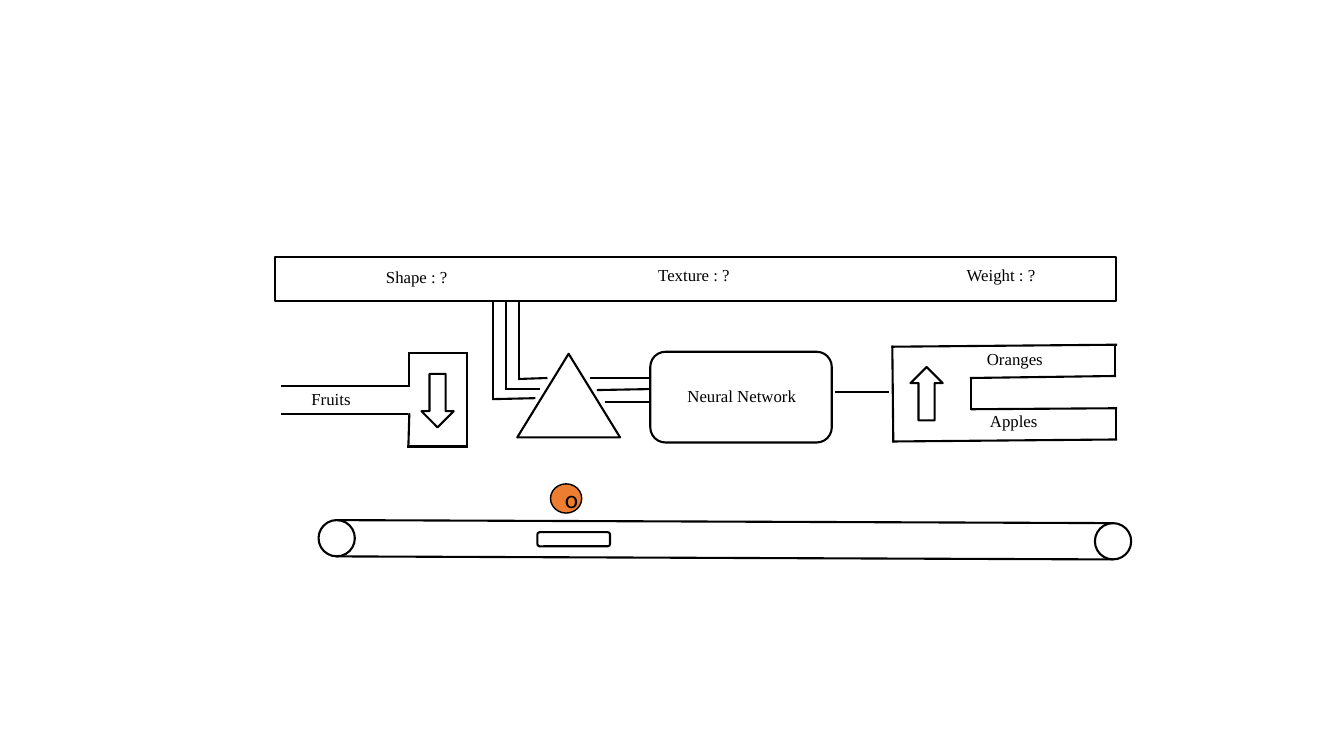
from pptx import Presentation
from pptx.dml.color import RGBColor
from pptx.enum.shapes import MSO_CONNECTOR, MSO_SHAPE
from pptx.enum.text import MSO_ANCHOR, PP_ALIGN
from pptx.util import Inches, Pt
from lxml import etree

RECT, ROUNDED = MSO_SHAPE.RECTANGLE, MSO_SHAPE.ROUNDED_RECTANGLE
TRIANGLE, OVAL = MSO_SHAPE.ISOSCELES_TRIANGLE, MSO_SHAPE.OVAL
PROCESS, ARROW = MSO_SHAPE.FLOWCHART_ALTERNATE_PROCESS, MSO_SHAPE.DOWN_ARROW
STRAIGHT = MSO_CONNECTOR.STRAIGHT
MIDDLE, CENTER = MSO_ANCHOR.MIDDLE, PP_ALIGN.CENTER
BLACK, WHITE, ORANGE = "000000", "FFFFFF", "ED7D31"
A_NS = "http://schemas.openxmlformats.org/drawingml/2006/main"

prs = Presentation()
prs.slide_width, prs.slide_height = Inches(13.33), Inches(7.5)
s = prs.slides.add_slide(prs.slide_layouts[6])


def rgb(color):
    """Turn a hex string into a colour."""
    return RGBColor.from_string(color)


def write(tf, text, font, size):
    """Put one black run into a text frame and return its paragraph."""
    p = tf.paragraphs[0]
    r = p.add_run()
    r.text = text
    for name, value in {"name": font, "size": Pt(size)}.items():
        setattr(r.font, name, value)
    r.font.color.rgb = rgb(BLACK)
    return p


# Machine parts: kind, left, top, width, height, rotation, fill, line width
parts = [
    (RECT, 2.73, 2.55, 8.34, 0.44, 0, WHITE, 1.5),
    (TRIANGLE, 5.13, 3.51, 1.02, 0.83, 0, WHITE, 1.5),
    (PROCESS, 6.45, 3.49, 1.8, 0.9, 0, WHITE, 1.5),
    (ARROW, 4.18, 3.71, 0.32, 0.53, 0, WHITE, 1.5),
    (ARROW, 9.03, 3.64, 0.32, 0.53, 180, WHITE, 1.5),
    (OVAL, 3.16, 5.16, 0.36, 0.36, 0, WHITE, 1.5),
    (OVAL, 10.86, 5.19, 0.36, 0.36, 0, WHITE, 1.5),
    (ROUNDED, 5.33, 5.28, 0.72, 0.14, 0, WHITE, 1.5),
    (OVAL, 5.46, 4.8, 0.31, 0.29, 0, ORANGE, 1),
]
for kind, left, top, width, height, rotation, fill, weight in parts:
    sp = s.shapes.add_shape(kind, Inches(left), Inches(top), Inches(width), Inches(height))
    sp.shadow.inherit = False
    sp.rotation = rotation
    sp.fill.solid()
    sp.fill.fore_color.rgb = rgb(fill)
    sp.line.color.rgb = rgb(BLACK)
    sp.line.width = Pt(weight)

# The last part is the fruit on the belt
sp.text_frame.word_wrap = True
sp.text_frame.vertical_anchor = MIDDLE
write(sp.text_frame, "o", "Calibri", 18).alignment = CENTER

inlet = [
    (2.79, 3.83, 4.05, 3.83), (2.79, 4.11, 4.05, 4.11),
    (4.06, 3.84, 4.06, 3.5), (4.05, 3.5, 4.64, 3.5), (4.63, 3.5, 4.63, 4.44),
    (4.04, 4.43, 4.64, 4.43), (4.05, 4.44, 4.06, 4.1),
]
sorter = [
    (8.85, 3.43, 8.86, 4.39), (8.85, 4.38, 11.08, 4.36), (11.07, 4.37, 11.07, 4.04),
    (11.08, 4.05, 9.63, 4.06), (9.63, 4.07, 9.63, 3.74), (11.07, 3.73, 9.62, 3.75),
    (11.06, 3.74, 11.06, 3.41), (8.84, 3.44, 11.08, 3.42),
]
belt = [(3.34, 5.16, 11.05, 5.19), (3.33, 5.52, 11.04, 5.55)]
link = [(8.28, 3.89, 8.82, 3.89)]

# Each sensor wire drops from the panel, meets the triangle and leaves for the network
wires = []
for x, y, end_x, end_y, out_x, out_y, net_y in [
    (5.15, 3.76, 5.43, 3.75, 5.85, 3.75, 3.75),
    (5.02, 3.86, 5.36, 3.86, 5.92, 3.87, 3.86),
    (4.89, 3.96, 5.31, 3.95, 6, 3.99, 3.99),
]:
    wires += [(x, 3, x, y), (x - 0.01, y, end_x, end_y), (out_x, out_y, 6.45, net_y)]

for ends in inlet + sorter + wires + link + belt:
    line = s.shapes.add_connector(STRAIGHT, *[Inches(v) for v in ends])
    line.line.color.rgb = rgb(BLACK)
    line.line.width = Pt(1.5)
    etree.SubElement(line._element.spPr, f"{{{A_NS}}}effectLst")

labels = [
    ("Shape : ?", 3.73, 2.6, 0.97),
    ("Texture : ?", 6.43, 2.58, 0.97),
    ("Weight : ?", 9.49, 2.58, 0.97),
    ("Neural Network", 6.72, 3.78, 1.36),
    ("Oranges", 9.69, 3.41, 1.36),
    ("Apples", 9.72, 4.03, 1.36),
    ("Fruits", 2.99, 3.81, 0.82),
]
for text, left, top, width in labels:
    tf = s.shapes.add_textbox(Inches(left), Inches(top), Inches(width), Inches(0.3)).text_frame
    tf.word_wrap = True
    write(tf, text, "Times New Roman", 12)

prs.save("out.pptx")
